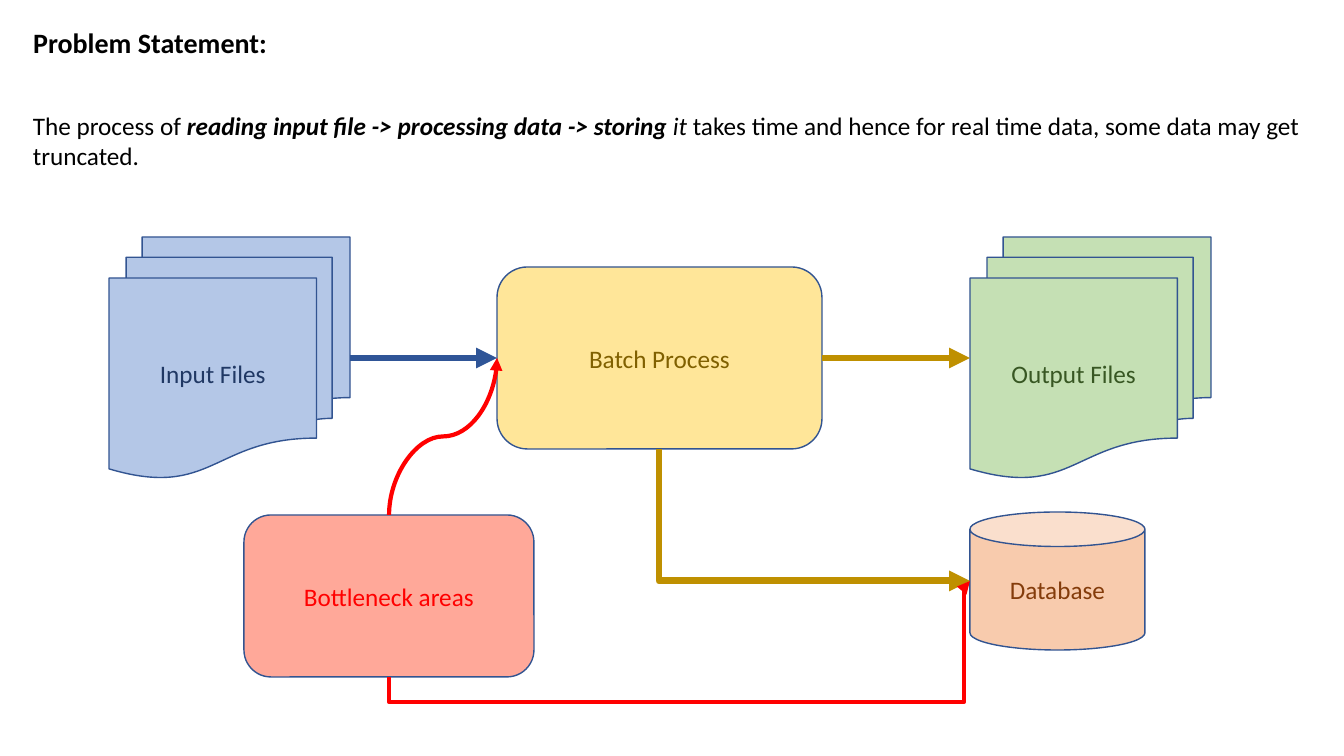
import dataclasses

import pptx
import pptx.dml.color
import pptx.enum.shapes
import pptx.enum.text
import pptx.oxml
import pptx.oxml.ns
import pptx.util

SCALE = 914400 / 100.8
FONT = "Calibri"
EDGE = "325491"
BLACK = "000000"
GOLD = "BF9000"
RED = "FF0000"
SHAPE = pptx.enum.shapes.MSO_SHAPE
LINK = pptx.enum.shapes.MSO_CONNECTOR
ANCHOR = pptx.enum.text.MSO_ANCHOR
ALIGN = pptx.enum.text.PP_ALIGN
qn = pptx.oxml.ns.qn


@dataclasses.dataclass
class Box:
    text: str
    kind: SHAPE
    x: int
    y: int
    wide: int
    high: int
    fill: str
    ink: str
    alpha: int = 100


@dataclasses.dataclass
class Arrow:
    start: tuple[int, int]
    end: tuple[int, int]
    color: str
    width: int
    kind: LINK = LINK.STRAIGHT
    preset: str = "line"
    turn: int = 0
    flips: str = ""
    bends: tuple[float, ...] = ()
    tip: str = "a:tailEnd"


def px(count: float) -> pptx.util.Emu:
    return pptx.util.Emu(round(count * SCALE))


def rgb(code: str) -> pptx.dml.color.RGBColor:
    return pptx.dml.color.RGBColor.from_string(code)


def style(run, size: int, color: str, bold: bool = False, slant: bool = False) -> None:
    font = run.font
    font.name, font.size = FONT, pptx.util.Pt(size)
    font.bold, font.italic = bold, slant
    font.color.rgb = rgb(color)


def place(shape, x: int, y: int, wide: int, high: int) -> None:
    shape.left, shape.top = px(x), px(y)
    shape.width, shape.height = px(wide), px(high)


def add(parent, tag: str, **attrs: str) -> None:
    parent.append(parent.makeelement(qn(tag), attrs))


def draw_box(slide, box: Box) -> None:
    shape = slide.shapes.add_shape(
        box.kind, px(box.x), px(box.y), px(box.wide), px(box.high))
    shape.shadow.inherit = False
    shape.fill.solid()
    shape.fill.fore_color.rgb = rgb(box.fill)
    if box.alpha < 100:
        tint = shape._element.spPr.find(qn("a:solidFill")).find(qn("a:srgbClr"))
        add(tint, "a:alpha", val=str(box.alpha * 1000))
    shape.line.color.rgb = rgb(EDGE)
    shape.line.width = pptx.util.Pt(1)
    frame = shape.text_frame
    frame.text = box.text
    frame.vertical_anchor = ANCHOR.MIDDLE
    para = frame.paragraphs[0]
    para.alignment = ALIGN.CENTER
    style(para.runs[0], 18, box.ink)


def draw_arrow(slide, arrow: Arrow) -> None:
    (x1, y1), (x2, y2) = arrow.start, arrow.end
    wide, high = abs(x2 - x1), abs(y2 - y1)
    if arrow.turn:  # a quarter turn swaps the sides about the centre
        wide, high = high, wide
    left, top = (x1 + x2 - wide) / 2, (y1 + y2 - high) / 2
    line = slide.shapes.add_connector(
        arrow.kind, px(left), px(top), px(left + wide), px(top + high))
    props = line._element.spPr
    frame = props.find(qn("a:xfrm"))
    if arrow.turn:
        frame.set("rot", str(arrow.turn * 60000))
    for flip in arrow.flips:
        frame.set("flip" + flip, "1")

    # Route
    geom = props.find(qn("a:prstGeom"))
    geom.set("prst", arrow.preset)
    for index, bend in enumerate(arrow.bends, 1):
        add(geom.find(qn("a:avLst")), "a:gd", name=f"adj{index}",
            fmla=f"val {round(bend * 100000)}")

    # Stroke and head
    line.line.color.rgb = rgb(arrow.color)
    line.line.width = pptx.util.Pt(arrow.width)
    add(props.find(qn("a:ln")), arrow.tip, type="triangle")
    add(props, "a:effectLst")


deck = pptx.Presentation()
deck.slide_width, deck.slide_height = px(1344), px(756)
slide = deck.slides.add_slide(deck.slide_layouts[5])

# Heading
title = slide.shapes.title
place(title, 23, 20, 276, 44)
frame = title.text_frame
frame.text = "Problem Statement:"
frame.vertical_anchor = ANCHOR.TOP
frame.auto_size = pptx.enum.text.MSO_AUTO_SIZE.NONE
frame.paragraphs[0].alignment = ALIGN.LEFT
style(frame.paragraphs[0].runs[0], 20, BLACK, bold=True)

# Statement
note = slide.shapes.add_textbox(px(23), px(105), px(1302), px(72))
note.text_frame.word_wrap = True
for text, bold, slant in (
    ("The process of ", False, False),
    ("reading input file -> processing data -> storing", True, True),
    (" it ", False, True),
    ("takes time and hence for real time data, some data may get truncated.",
     False, False),
):
    run = note.text_frame.paragraphs[0].add_run()
    run.text = text
    style(run, 18, BLACK, bold, slant)

# Stages
FILES, ROUND = SHAPE.FLOWCHART_MULTIDOCUMENT, SHAPE.ROUNDED_RECTANGLE
for box in (
    Box("Input Files", FILES, 109, 237, 241, 241, "B4C7E7", "203864"),
    Box("Batch Process", ROUND, 497, 267, 325, 182, "FFE699", "806000"),
    Box("Output Files", FILES, 970, 237, 241, 241, "C5E0B4", "385723"),
    Box("Database", SHAPE.CAN, 970, 512, 175, 138, "F8CBAD", "843C0B"),
    Box("Bottleneck areas", ROUND, 244, 515, 290, 162, "FF2600", RED, 40),
):
    draw_box(slide, box)

# Data flow, then bottleneck pointers
for arrow in (
    Arrow((350, 358), (497, 358), "2F5597", 5),
    Arrow((822, 358), (970, 358), GOLD, 5),
    Arrow((659, 449), (970, 581), GOLD, 5, LINK.ELBOW,
          "bentConnector2", 270, "H"),
    Arrow((970, 581), (389, 677), RED, 3, LINK.ELBOW,
          "bentConnector4", 0, "H", (0.01, 1.26), "a:headEnd"),
    Arrow((389, 515), (497, 358), RED, 3, LINK.CURVE,
          "curvedConnector3", 90, "HV", (0.5,)),
):
    draw_arrow(slide, arrow)

deck.save("out.pptx")
